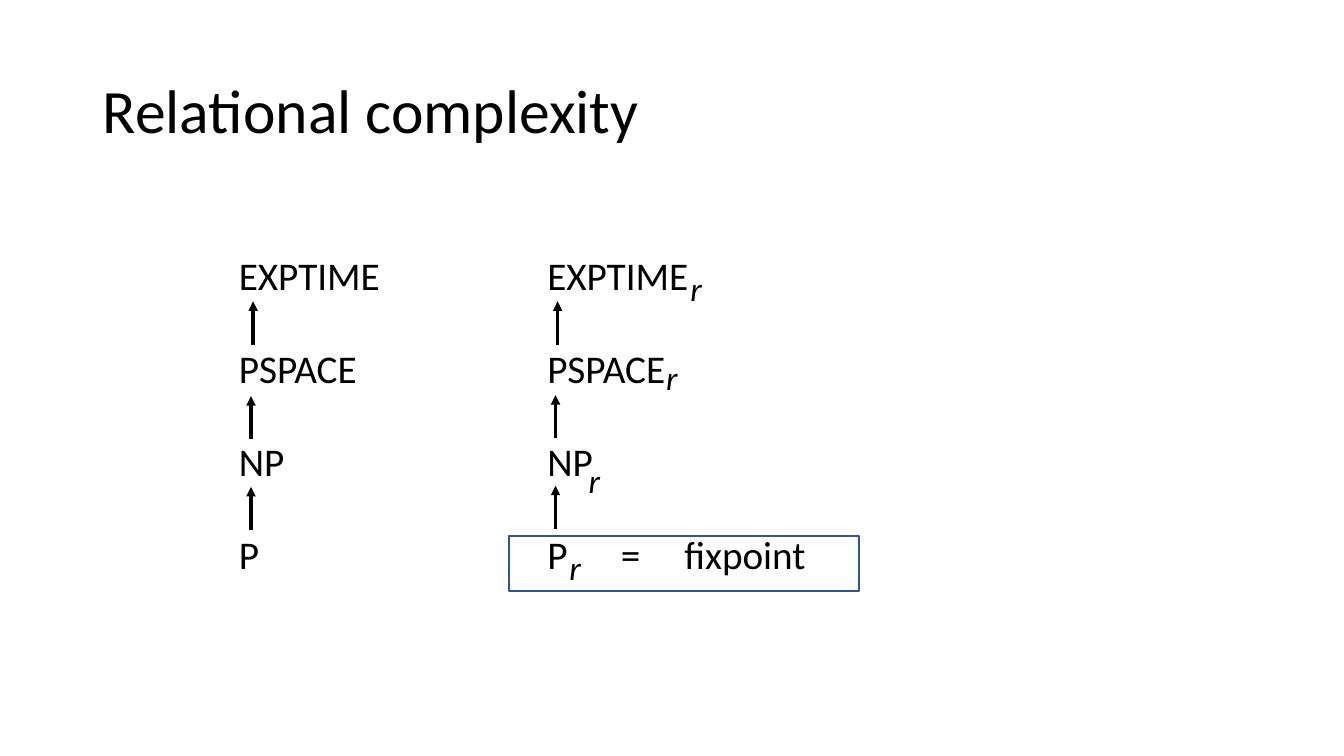
from dataclasses import dataclass
from typing import Any

from lxml import etree
from pptx import Presentation
from pptx.dml.color import RGBColor
from pptx.enum.shapes import MSO_CONNECTOR, MSO_SHAPE
from pptx.enum.text import MSO_ANCHOR, PP_ALIGN
from pptx.oxml.ns import qn
from pptx.util import Inches, Pt

LINE = MSO_CONNECTOR.STRAIGHT
RECT = MSO_SHAPE.RECTANGLE
LEFT = PP_ALIGN.LEFT
MIDDLE = MSO_ANCHOR.MIDDLE
TOP = MSO_ANCHOR.TOP


@dataclass(frozen=True)
class Theme:
    font: str = "Calibri"
    ink: RGBColor = RGBColor(0x00, 0x00, 0x00)
    frame: RGBColor = RGBColor(0x32, 0x54, 0x91)
    title: int = 44
    body: int = 28
    index: int = 24
    gap: int = 33
    stroke: float = 2.25
    border: float = 1.5


@dataclass(frozen=True)
class Box:
    left: float
    top: float
    width: float
    height: float

    def place(self) -> tuple[int, ...]:
        return tuple(Inches(v) for v in (self.left, self.top, self.width, self.height))


@dataclass(frozen=True)
class Ladder:
    box: Box
    last: str
    arrows: tuple[tuple[float, float], ...]
    tabs: tuple[float, ...] = ()


THEME = Theme()
RUNGS = ("EXPTIME", "PSPACE", "NP")
RISE = 0.43
LADDERS = (
    Ladder(Box(2.27, 2.44, 1.92, 3.4), "P",
           ((2.51, 2.99), (2.49, 3.93), (2.49, 4.83))),
    Ladder(Box(5.33, 2.44, 4.04, 3.4), "P\t=\tfixpoint",
           ((5.53, 2.99), (5.51, 3.92), (5.51, 4.82)), (0.73, 1.36)),
)
MARKS = ((6.75, 2.61), (6.51, 3.49), (5.74, 4.51), (5.55, 5.38))


def write(shape: Any, *lines: str, size: int, italic: bool = False,
          gap: int = 0, spacing: float = 1.0, anchor: Any = TOP,
          tabs: tuple[float, ...] = ()) -> None:
    frame = shape.text_frame
    frame.word_wrap = True
    frame.vertical_anchor = anchor
    frame.text = "\n".join(lines)
    for row, para in enumerate(frame.paragraphs):
        para.alignment = LEFT
        para.line_spacing = spacing
        para.space_before = Pt(gap if row else 0)
        if "\t" in para.text:
            stops = etree.SubElement(para._p.get_or_add_pPr(), qn("a:tabLst"))
            for stop in tabs:
                etree.SubElement(stops, qn("a:tab"), pos=str(Inches(stop)), algn="l")
        font = para.font
        font.name = THEME.font
        font.size = Pt(size)
        font.italic = italic
        font.color.rgb = THEME.ink


def arrow(slide: Any, left: float, top: float) -> None:
    line = slide.shapes.add_connector(
        LINE, Inches(left), Inches(top + RISE), Inches(left), Inches(top))
    line.line.color.rgb = THEME.ink
    line.line.width = Pt(THEME.stroke)
    etree.SubElement(line.line._get_or_add_ln(), qn("a:tailEnd"), type="triangle")
    etree.SubElement(line._element.spPr, qn("a:effectLst"))


def ladder(slide: Any, item: Ladder) -> None:
    text = slide.shapes.add_textbox(*item.box.place())
    write(text, *RUNGS, item.last, size=THEME.body, gap=THEME.gap, tabs=item.tabs)
    for left, top in item.arrows:
        arrow(slide, left, top)


def border(slide: Any, box: Box) -> None:
    shape = slide.shapes.add_shape(RECT, *box.place())
    shape.shadow.inherit = False
    shape.fill.background()
    shape.line.color.rgb = THEME.frame
    shape.line.width = Pt(THEME.border)


def main() -> None:
    deck = Presentation()
    deck.slide_width = Inches(13.33)
    deck.slide_height = Inches(7.5)
    slide = deck.slides.add_slide(deck.slide_layouts[5])
    title = slide.shapes.title
    title.left, title.top, title.width, title.height = Box(0.92, 0.4, 11.5, 1.45).place()
    write(title, "Relational complexity", size=THEME.title, spacing=0.9, anchor=MIDDLE)
    for item in LADDERS:
        ladder(slide, item)
    for left, top in MARKS:
        mark = slide.shapes.add_textbox(*Box(left, top, 0.33, 0.5).place())
        write(mark, "r", size=THEME.index, italic=True)
    border(slide, Box(5.05, 5.32, 3.47, 0.54))
    deck.save("out.pptx")


if __name__ == "__main__":
    main()
